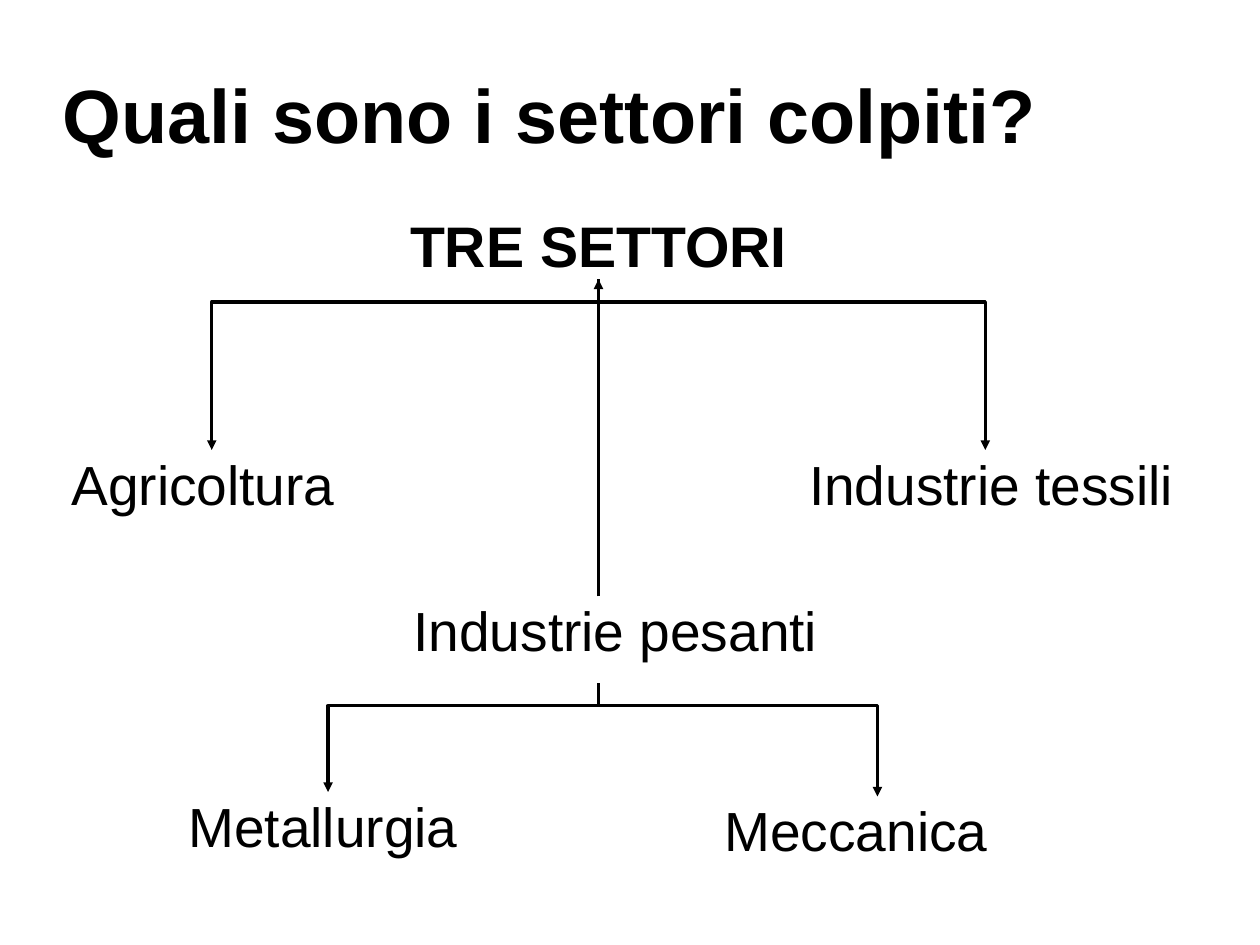
from collections import namedtuple

from lxml.etree import SubElement
from pptx import Presentation
from pptx.dml.color import RGBColor
from pptx.enum.shapes import MSO_CONNECTOR as Connector
from pptx.enum.text import MSO_ANCHOR as Anchor, PP_ALIGN as Align
from pptx.oxml.ns import qn
from pptx.util import Cm, Pt

BLACK = RGBColor(0, 0, 0)
WHITE = RGBColor(255, 255, 255)
FONT = "Arial"
LABEL_HEIGHT = 1.93
LABEL_INDENT = 1.19
ELBOW_DROP = 0.5

Box = namedtuple("Box", "left top width height")


def center_x(box):
    return box.left + box.width / 2


def bottom(box):
    return box.top + box.height


def add_label(slide, box, wording, size, bold=False, align=Align.LEFT,
              anchor=Anchor.TOP, margins=(0, 0), indent=0):
    label = slide.shapes.add_textbox(*map(Cm, box))
    frame = label.text_frame
    frame.word_wrap = True
    frame.vertical_anchor = anchor
    frame.margin_left = frame.margin_right = Cm(margins[0])
    frame.margin_top = frame.margin_bottom = Cm(margins[1])
    paragraph = frame.paragraphs[0]
    paragraph.text = wording
    paragraph.alignment = align
    if indent:
        properties = paragraph._p.get_or_add_pPr()
        properties.set("marL", str(Cm(indent)))
        properties.set("indent", "0")
    font = paragraph.runs[0].font
    font.name, font.size, font.bold = FONT, Pt(size), bold
    font.color.rgb = BLACK


def style_arrow(arrow):
    """Give a connector a black hairline with a head at its end and no shadow."""
    arrow.line.color.rgb = BLACK
    arrow.line.width = Pt(0)
    SubElement(arrow.line._get_or_add_ln(), qn("a:tailEnd"), type="triangle")
    SubElement(arrow._element.spPr, qn("a:effectLst"))


def add_branch(slide, parent, child):
    """Run an elbow arrow from the foot of parent down to the top of child."""
    start_x, end_x = center_x(parent), center_x(child)
    start_y, end_y = bottom(parent), child.top
    drop, run = end_y - start_y, abs(end_x - start_x)
    middle_x, middle_y = (start_x + end_x) / 2, (start_y + end_y) / 2
    to_right = end_x > start_x
    # The elbow is laid out sideways, then turned so that it starts downwards.
    reach = -drop / 2 if to_right else drop / 2
    arrow = slide.shapes.add_connector(
        Connector.ELBOW,
        Cm(middle_x - reach), Cm(middle_y - run / 2),
        Cm(middle_x + reach), Cm(middle_y + run / 2))
    properties = arrow._element.spPr
    properties.find(qn("a:xfrm")).set("rot", str((270 if to_right else 90) * 60000))
    adjustments = properties.find(qn("a:prstGeom")).find(qn("a:avLst"))
    SubElement(adjustments, qn("a:gd"), name="adj1",
               fmla=f"val {round(ELBOW_DROP / drop * 100000)}")
    style_arrow(arrow)


def add_rising_arrow(slide, lower, upper):
    x = Cm(center_x(upper))
    arrow = slide.shapes.add_connector(
        Connector.STRAIGHT, x, Cm(lower.top), x, Cm(bottom(upper)))
    style_arrow(arrow)


def add_title(slide, box):
    add_label(slide, box, "Quali sono i settori colpiti?", 47.6, bold=True,
              anchor=Anchor.MIDDLE)


def add_sector_tree(slide, area):
    def place(left, top, width, height=LABEL_HEIGHT):
        return Box(area.left + left, area.top + top, width, height)

    sectors = place(4, 0, 17.8, 1.66)
    farming = place(0, 5.45, 8.61)
    textiles = place(16.39, 5.45, 10.21)
    heavy = place(7.6, 8.7, 10.6)
    metallurgy = place(3.79, 13.05, 6.2)
    mechanics = place(15.7, 13.15, 6.8)

    add_label(slide, sectors, "TRE SETTORI", 36, bold=True,
              align=Align.CENTER, margins=(0.25, 0.13))
    for box, wording, indent in (
            (textiles, "Industrie tessili", LABEL_INDENT),
            (heavy, "Industrie pesanti", LABEL_INDENT),
            (metallurgy, "Metallurgia", 0),
            (mechanics, "Meccanica", 0),
            (farming, "Agricoltura", LABEL_INDENT)):
        add_label(slide, box, wording, 34.7, indent=indent)

    for parent, child in ((sectors, textiles), (sectors, farming),
                          (heavy, metallurgy), (heavy, mechanics)):
        add_branch(slide, parent, child)
    add_rising_arrow(slide, heavy, sectors)


def main():
    presentation = Presentation()
    presentation.slide_width, presentation.slide_height = Cm(28), Cm(21)
    slide = presentation.slides.add_slide(presentation.slide_layouts[6])
    slide.background.fill.solid()
    slide.background.fill.fore_color.rgb = WHITE
    add_title(slide, Box(1.4, 0.79, 25.2, 3.45))
    add_sector_tree(slide, Box(0.4, 4.55, 26.6, 15.08))
    presentation.save("out.pptx")


if __name__ == "__main__":
    main()
